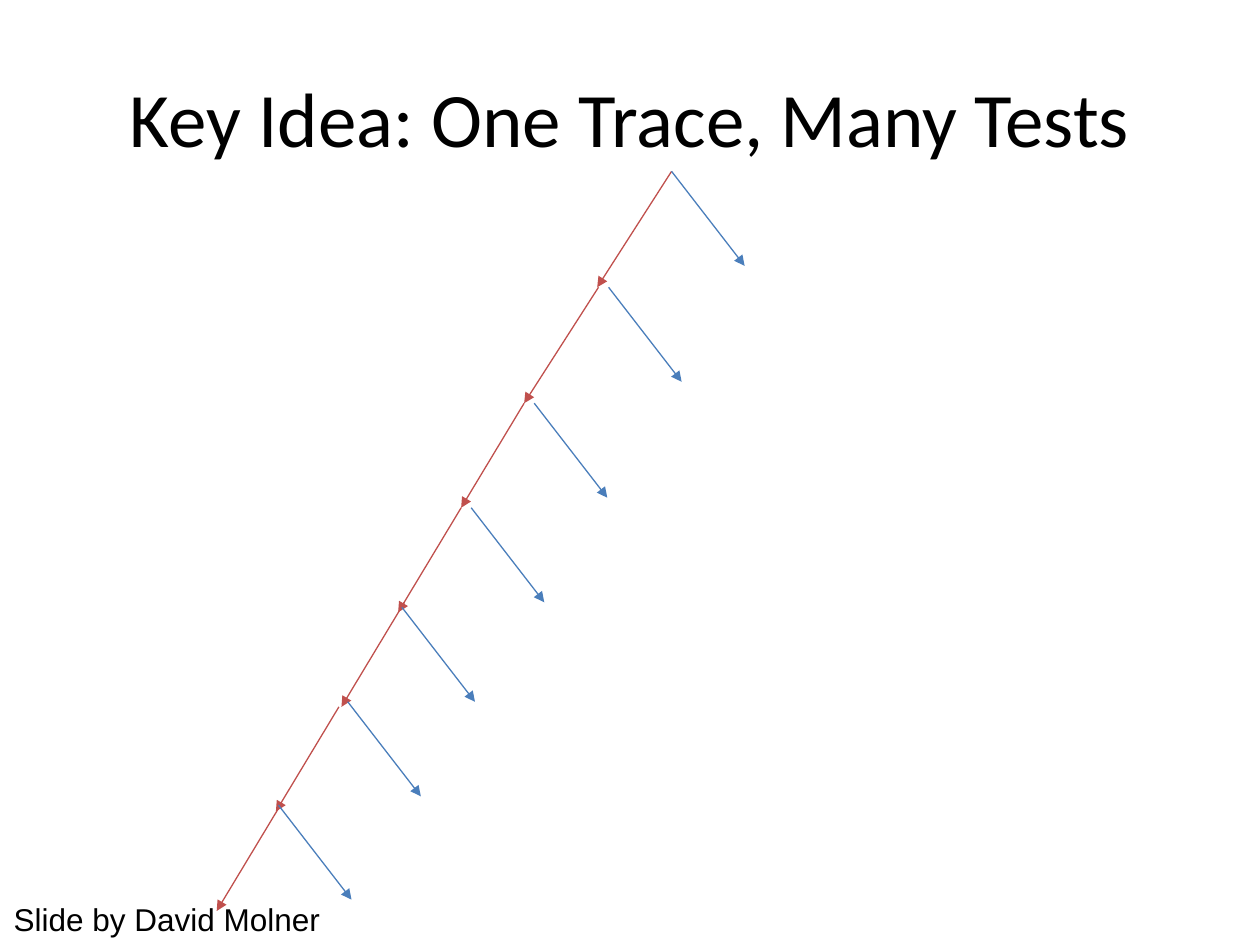
from dataclasses import dataclass

from lxml import etree
from pptx import Presentation
from pptx.dml.color import RGBColor
from pptx.enum import shapes, text
from pptx.oxml import ns
from pptx.util import Inches, Pt


@dataclass(frozen=True)
class Theme:
    ink: str = "000000"
    trace: str = "C0504D"
    test: str = "4A7EBB"
    title_font: str = "Calibri"
    credit_font: str = "Arial"
    title_size: float = 44
    credit_size: float = 18
    line_width: float = 0.75


THEME = Theme()

# Positions in inches from the top left corner of the tree's box
LONG_STEP = (-0.59, 0.92)
SHORT_STEP = (-0.5, 0.83)
TEST_STEP = (0.58, 0.75)
TRACE_STARTS = [(3.61, 0), (3.03, 0.92), (2.44, 1.84), (1.94, 2.67),
                (1.49, 3.42), (0.97, 4.25), (0.5, 5.04)]
TRACE_STEPS = [LONG_STEP] * 2 + [SHORT_STEP] * 5
TEST_STARTS = [(3.61, 0), (3.11, 0.92), (2.52, 1.84), (2.02, 2.67),
               (1.47, 3.46), (1.04, 4.21), (0.49, 5.03)]


def place(shape, box):
    shape.left, shape.top, shape.width, shape.height = map(Inches, box)


def write(shape, words, *, font, size, align, anchor, wrap):
    frame = shape.text_frame
    frame.word_wrap = wrap
    frame.vertical_anchor = anchor
    frame.margin_left = frame.margin_right = Inches(0.1)
    frame.margin_top = frame.margin_bottom = Inches(0.05)
    paragraph = frame.paragraphs[0]
    paragraph.alignment = align
    run = paragraph.add_run()
    run.text = words
    run.font.name = font
    run.font.size = Pt(size)
    run.font.color.rgb = RGBColor.from_string(THEME.ink)


def add_arrow(slide, start, end, color):
    arrow = slide.shapes.add_connector(
        shapes.MSO_CONNECTOR.STRAIGHT, *map(Inches, (*start, *end)))
    arrow.line.color.rgb = RGBColor.from_string(color)
    arrow.line.width = Pt(THEME.line_width)
    etree.SubElement(arrow.line._get_or_add_ln(), ns.qn("a:tailEnd"), type="triangle")
    etree.SubElement(arrow._element.spPr, ns.qn("a:effectLst"))


def add_title(slide, box):
    title = slide.shapes.title
    place(title, box)
    write(title, "Key Idea: One Trace, Many Tests", font=THEME.title_font,
          size=THEME.title_size, align=text.PP_ALIGN.CENTER,
          anchor=text.MSO_ANCHOR.MIDDLE, wrap=True)


def add_trace_tree(slide, left, top):
    """Draw the trace as a descending path, with one test branching off at each step."""
    trace = zip(TRACE_STARTS, TRACE_STEPS)
    tests = ((start, TEST_STEP) for start in TEST_STARTS)
    for arrows, color in ((trace, THEME.trace), (tests, THEME.test)):
        for (x, y), (dx, dy) in arrows:
            start = (left + x, top + y)
            add_arrow(slide, start, (start[0] + dx, start[1] + dy), color)


def add_credit(slide, box):
    credit = slide.shapes.add_textbox(*map(Inches, box))
    write(credit, "Slide by David Molner", font=THEME.credit_font,
          size=THEME.credit_size, align=text.PP_ALIGN.LEFT,
          anchor=text.MSO_ANCHOR.TOP, wrap=False)
    credit.text_frame.auto_size = text.MSO_AUTO_SIZE.SHAPE_TO_FIT_TEXT


def main():
    presentation = Presentation()
    presentation.slide_width, presentation.slide_height = Inches(10), Inches(7.5)
    title_only = presentation.slide_layouts[5]
    slide = presentation.slides.add_slide(title_only)
    add_title(slide, (0.5, 0.3, 9, 1.25))
    add_trace_tree(slide, left=1.72, top=1.36)
    add_credit(slide, (0.01, 7.09, 2.63, 0.4))
    presentation.save("out.pptx")


if __name__ == "__main__":
    main()
